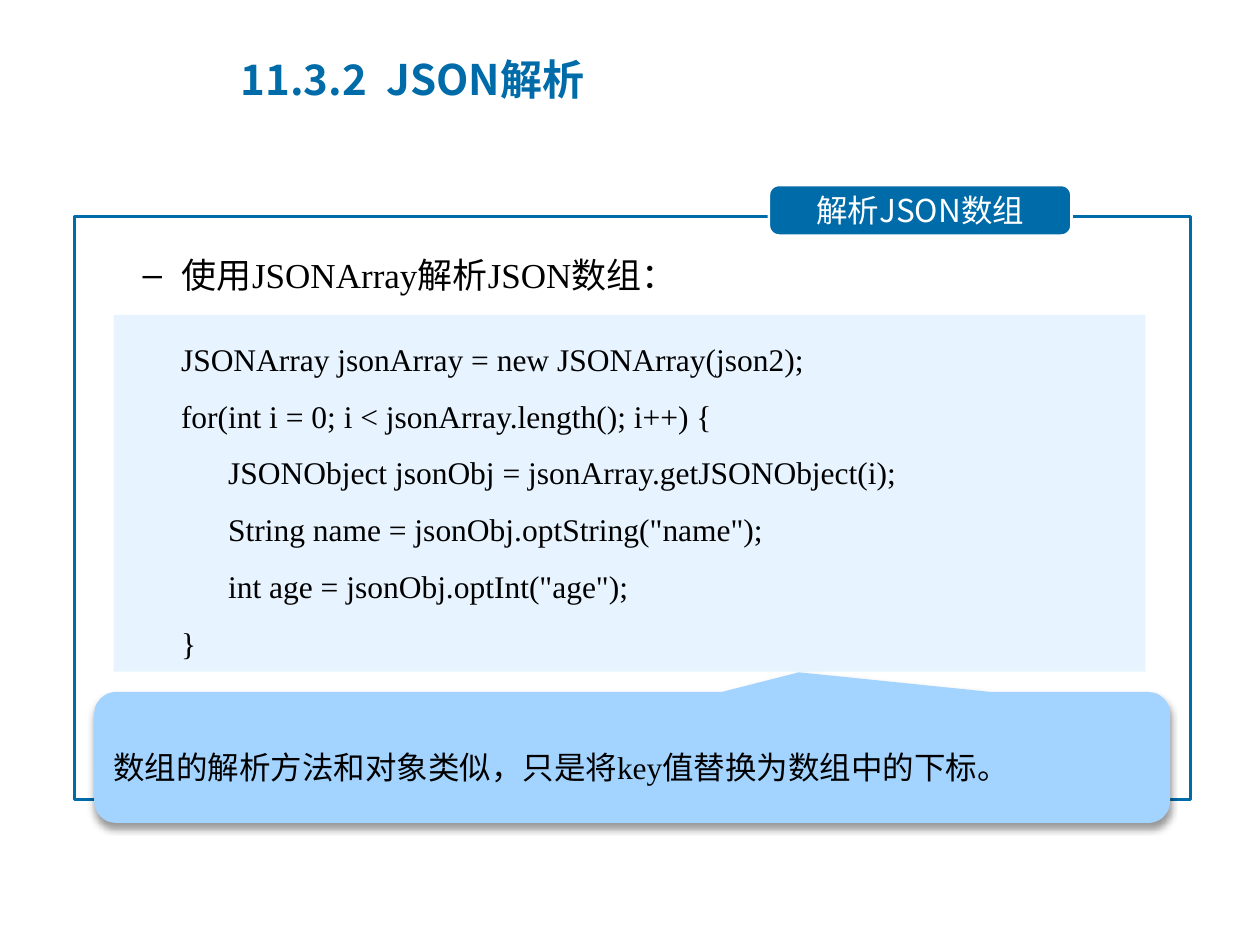
from dataclasses import dataclass

from lxml import etree
from pptx import Presentation
from pptx import util as u
from pptx.dml.color import RGBColor
from pptx.enum import shapes, text
from pptx.oxml import ns

BLUE, PALE, SKY, WHITE, BLACK = "006BA9", "E7F4FF", "A3D3FF", "FFFFFF", "000000"
CJK, SANS, SERIF = "Noto Sans CJK SC", "Arial", "Times New Roman"
SHAPE = shapes.MSO_SHAPE
MIDDLE = text.MSO_ANCHOR.MIDDLE
LEFT, CENTER = text.PP_ALIGN.LEFT, text.PP_ALIGN.CENTER


@dataclass
class Box:
    kind: int
    at: tuple  # left, top, width, height in cm
    fill: str = ""
    line: str = ""
    adj: tuple = ()


@dataclass
class Line:
    runs: list  # (text, font) pairs
    size: int = 18
    color: str = BLACK
    bold: bool = False
    align: int = LEFT
    spacing: float = 1.0
    indent: float = 0  # cm


def rgb(value: str) -> RGBColor:
    return RGBColor.from_string(value)


def set_attrs(obj, values: dict) -> None:
    for name, value in values.items():
        setattr(obj, name, value)


def place(sp, at: tuple) -> None:
    set_attrs(sp, dict(zip(("left", "top", "width", "height"), map(u.Cm, at))))


def add_box(s, box: Box):
    sp = s.shapes.add_shape(box.kind, *map(u.Cm, box.at))
    sp.shadow.inherit = False
    for i, value in enumerate(box.adj):
        sp.adjustments[i] = value
    if box.fill:
        sp.fill.solid()
        sp.fill.fore_color.rgb = rgb(box.fill)
    else:
        sp.fill.background()
    if box.line:
        sp.line.color.rgb = rgb(box.line)
        sp.line.width = u.Pt(1.5)
    else:
        sp.line.fill.background()
    return sp


def write(sp, lines: list[Line], level: int = 0, **frame) -> None:
    tf = sp.text_frame
    set_attrs(tf, {"word_wrap": True, "auto_size": text.MSO_AUTO_SIZE.NONE, **frame})
    for i, line in enumerate(lines):
        p = tf.add_paragraph() if i else tf.paragraphs[0]
        set_attrs(p, {"alignment": line.align, "line_spacing": line.spacing, "level": level})
        if line.indent:
            p._p.get_or_add_pPr().set("marL", str(u.Cm(line.indent)))
        for words, font in line.runs:
            r = p.add_run()
            r.text = words
            set_attrs(r.font, {"name": font, "size": u.Pt(line.size), "bold": line.bold})
            r.font.color.rgb = rgb(line.color)
            ea = etree.SubElement(r._r.rPr, ns.qn("a:ea"))
            ea.set("typeface", CJK)


def add_shadow(sp) -> None:
    effects = sp._element.spPr.find(ns.qn("a:effectLst"))
    shadow = etree.SubElement(effects, ns.qn("a:outerShdw"), blurRad=str(u.Pt(4)),
                              dist=str(u.Pt(3)), dir="5400000", rotWithShape="0")
    color = etree.SubElement(shadow, ns.qn("a:srgbClr"), val=BLACK)
    etree.SubElement(color, ns.qn("a:alpha"), val="40000")


def main() -> None:
    prs = Presentation()
    prs.slide_width, prs.slide_height = u.Cm(25.4), u.Cm(19.05)
    s = prs.slides.add_slide(prs.slide_layouts[1])
    title, body = s.placeholders

    # Title
    place(title, (4.6, 0.53, 14.3, 2.13))
    write(title, [Line([("11.3.2  JSON解析", CJK)], 24, BLUE, True)],
          vertical_anchor=MIDDLE)

    # Frame with its label
    add_box(s, Box(SHAPE.RECTANGLE, (1.5, 4.37, 22.5, 14.61 - 2.86), line=BLUE))
    label = add_box(s, Box(SHAPE.ROUNDED_RECTANGLE, (15.5, 3.73, 6.1, 1.02),
                           BLUE, WHITE, (0.2,)))
    write(label, [Line([("解析JSON数组", CJK)], color=WHITE, align=CENTER)],
          vertical_anchor=MIDDLE, margin_left=u.Cm(0.6), margin_right=u.Cm(0.6),
          margin_top=u.Cm(0.15), margin_bottom=u.Cm(0.15))

    # List item
    place(body, (1.35, 4.55, 22.38, 5.59))
    write(body, [Line([("使用", SANS), ("JSONArray解析JSON", SERIF), ("数组：", SANS)],
                      20, spacing=1.5)], level=1)

    # Code, nested lines indented further
    outer, inner = 1.11, 2.06
    code = [
        (outer, "JSONArray jsonArray = new JSONArray(json2);"),
        (outer, "for(int i = 0; i < jsonArray.length(); i++) {"),
        (inner, "JSONObject jsonObj = jsonArray.getJSONObject(i);"),
        (inner, 'String name = jsonObj.optString("name");'),
        (inner, 'int age = jsonObj.optInt("age");'),
        (outer, "}"),
    ]
    panel = add_box(s, Box(SHAPE.RECTANGLE, (2.29, 6.35, 20.8, 7.19), PALE))
    write(panel, [Line([(words, SERIF)], spacing=1.5, indent=indent)
                  for indent, words in code], vertical_anchor=text.MSO_ANCHOR.TOP)

    # Callout
    note = add_box(s, Box(SHAPE.ROUNDED_RECTANGULAR_CALLOUT, (1.9, 13.95, 21.69, 2.64),
                          SKY, adj=(0.155, -0.65, 0.167)))
    add_shadow(note)
    write(note, [Line([("数组的解析方法和对象类似，只是将", SANS), ("key", SERIF),
                       ("值替换为数组中的下标。", SANS)], spacing=1.5)],
          vertical_anchor=MIDDLE)

    prs.save("out.pptx")


if __name__ == "__main__":
    main()
